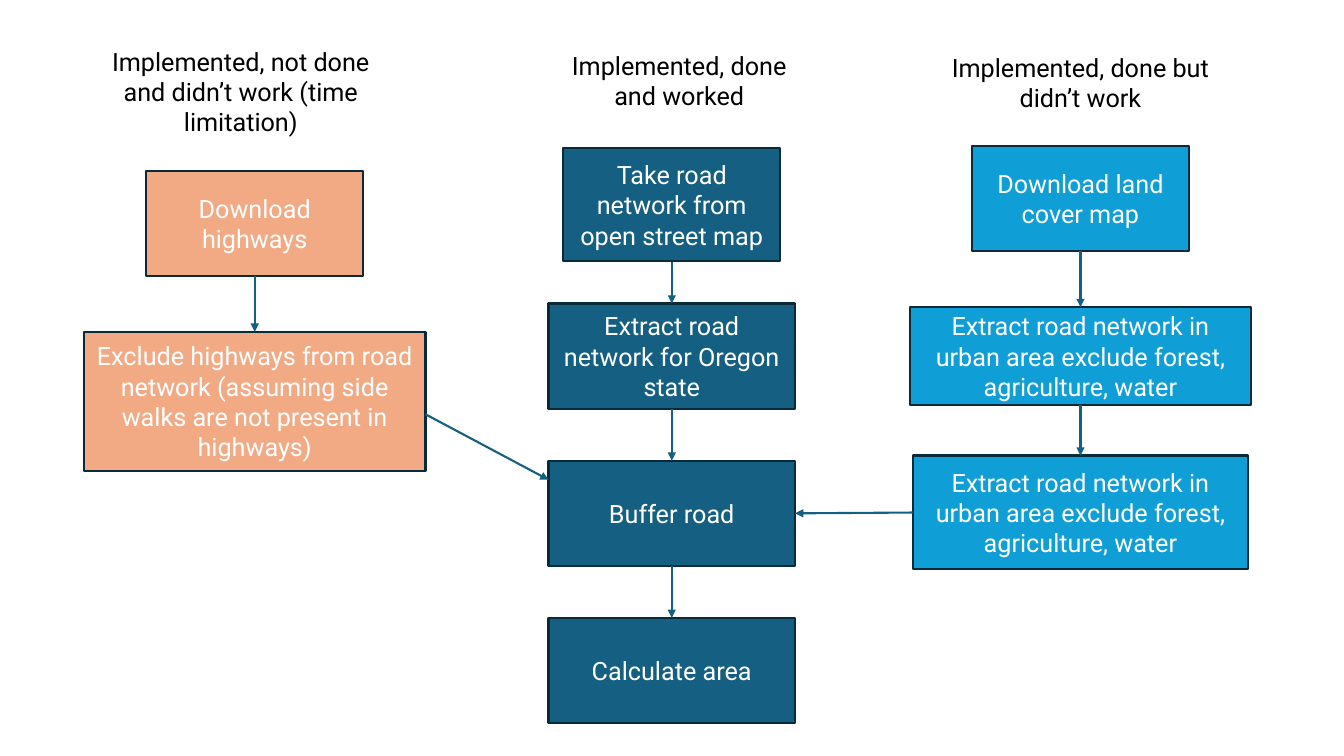
from dataclasses import dataclass
from itertools import pairwise

from lxml.etree import SubElement
from pptx import Presentation
from pptx.dml.color import RGBColor
from pptx.enum.shapes import MSO_CONNECTOR, MSO_SHAPE
from pptx.enum.text import MSO_ANCHOR, MSO_AUTO_SIZE, PP_ALIGN
from pptx.oxml.ns import qn
from pptx.util import Cm, Pt

URBAN_ROADS = "Extract road network in urban area exclude forest, agriculture, water"

# Lengths in cm. Heading: text, centre, top, height. Step: text, top, width, height.
COLUMNS = [
    {
        "centre": 6.42,
        "fill": "F2AA84",
        "heading": ("Implemented, not done and didn’t work (time limitation)", 6.07, 1.04, 2.57),
        "steps": [
            ("Download highways", 4.3, 5.46, 2.65),
            ("Exclude highways from road network (assuming side walks "
             "are not present in highways)", 8.36, 8.61, 3.5),
        ],
    },
    {
        "centre": 16.93,
        "fill": "156082",
        "heading": ("Implemented, done and worked", 17.12, 1.14, 1.8),
        "steps": [
            ("Take road network from open street map", 3.73, 5.46, 2.86),
            ("Extract road network for Oregon state", 7.65, 6.21, 2.65),
            ("Buffer road", 11.61, 6.21, 2.65),
            ("Calculate area", 15.57, 6.21, 2.65),
        ],
    },
    {
        "centre": 27.23,
        "fill": "0F9ED5",
        "heading": ("Implemented, done but didn’t work", 27.23, 1.19, 1.8),
        "steps": [
            ("Download land cover map", 3.68, 5.46, 2.65),
            (URBAN_ROADS, 7.74, 8.61, 2.46),
            (URBAN_ROADS, 11.48, 8.46, 2.87),
        ],
    },
]
HEADING_WIDTH = 7.06
HIGHWAYS_EXIT_Y, BUFFER_ENTRY_Y = 10.44, 12.09
TOP, LEFT, BOTTOM, RIGHT = range(4)  # connection sites of a rectangle


@dataclass(frozen=True)
class Theme:
    font: str = "Roboto"
    size: int = 18
    line_width: float = 1.5
    heading: str = "000000"
    box_text: str = "FFFFFF"
    box_line: str = "092A39"
    arrow: str = "156082"


THEME = Theme()


def set_text(tf, text, color):
    tf.word_wrap = True
    tf.text = text
    p = tf.paragraphs[0]
    p.alignment = PP_ALIGN.CENTER
    font = p.runs[0].font
    font.name, font.size = THEME.font, Pt(THEME.size)
    font.color.rgb = RGBColor.from_string(color)


def set_line(line, color):
    line.color.rgb = RGBColor.from_string(color)
    line.width = Pt(THEME.line_width)


def add_heading(slide, text, centre, top, height):
    sp = slide.shapes.add_textbox(
        Cm(centre - HEADING_WIDTH / 2), Cm(top), Cm(HEADING_WIDTH), Cm(height))
    set_text(sp.text_frame, text, THEME.heading)
    sp.text_frame.auto_size = MSO_AUTO_SIZE.SHAPE_TO_FIT_TEXT


def add_step(slide, centre, fill, text, top, width, height):
    sp = slide.shapes.add_shape(
        MSO_SHAPE.RECTANGLE, Cm(centre - width / 2), Cm(top), Cm(width), Cm(height))
    sp.shadow.inherit = False
    sp.fill.solid()
    sp.fill.fore_color.rgb = RGBColor.from_string(fill)
    set_line(sp.line, THEME.box_line)
    set_text(sp.text_frame, text, THEME.box_text)
    sp.text_frame.vertical_anchor = MSO_ANCHOR.MIDDLE
    return sp


def add_arrow(slide, x1=0, y1=0, x2=0, y2=0):
    arrow = slide.shapes.add_connector(MSO_CONNECTOR.STRAIGHT, x1, y1, x2, y2)
    set_line(arrow.line, THEME.arrow)
    SubElement(arrow.line._get_or_add_ln(), qn("a:tailEnd"), type="triangle")
    SubElement(arrow._element.spPr, qn("a:effectLst"))
    return arrow


def join(slide, start, start_site, end, end_site):
    """Draw an arrow glued to one connection site of each box."""
    arrow = add_arrow(slide)
    arrow.begin_connect(start, start_site)
    arrow.end_connect(end, end_site)


def main():
    prs = Presentation()
    prs.slide_width, prs.slide_height = Cm(33.87), Cm(19.05)
    slide = prs.slides.add_slide(prs.slide_layouts[6])

    flows = []
    for col in COLUMNS:
        add_heading(slide, *col["heading"])
        boxes = [add_step(slide, col["centre"], col["fill"], *step) for step in col["steps"]]
        for upper, lower in pairwise(boxes):
            join(slide, upper, BOTTOM, lower, TOP)
        flows.append(boxes)

    highways, roads, land_cover = flows
    buffer_road = roads[2]
    join(slide, land_cover[-1], LEFT, buffer_road, RIGHT)
    exclude = highways[-1]
    add_arrow(slide, exclude.left + exclude.width, Cm(HIGHWAYS_EXIT_Y),
              buffer_road.left, Cm(BUFFER_ENTRY_Y))
    prs.save("out.pptx")


if __name__ == "__main__":
    main()
